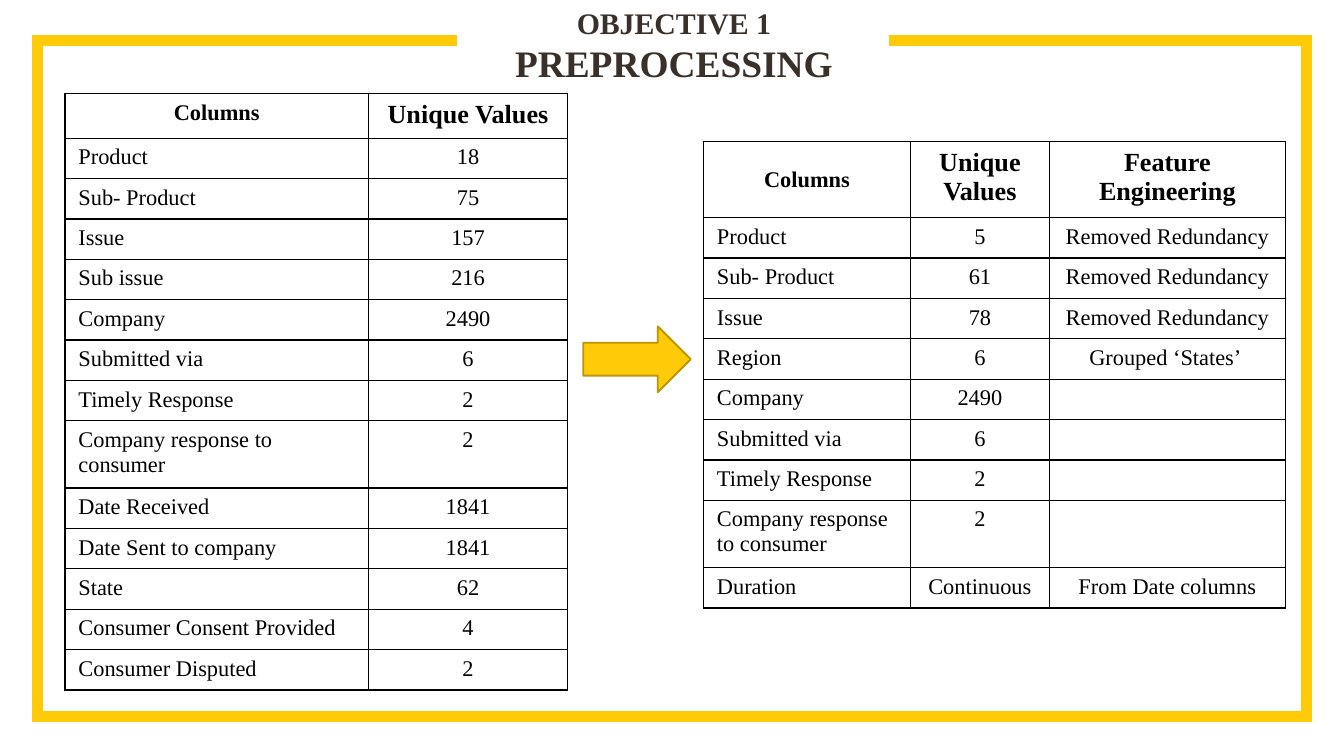
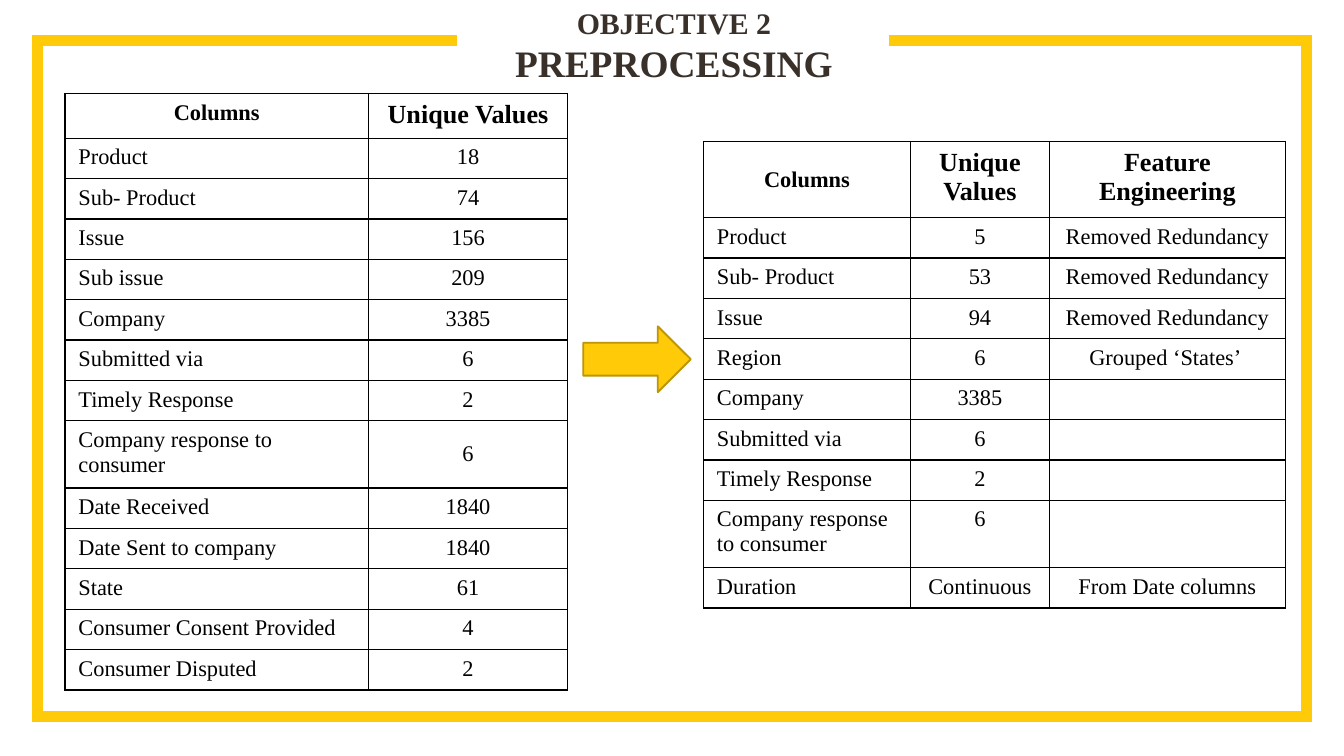
from lxml.etree import SubElement
from pptx import Presentation
from pptx.dml.color import RGBColor
from pptx.enum.shapes import MSO_SHAPE
from pptx.enum.text import MSO_ANCHOR, PP_ALIGN
from pptx.oxml.ns import qn
from pptx.util import Pt

FONT = "Times New Roman"
GOLD, EDGE, DARK, BLACK = "FFCA08", "BD9506", "39302A", "000000"
FRAME = [(245, 21.6), (20.2, 21.6), (20.2, 383.8), (699.8, 383.8), (699.8, 21.6), (476, 21.6)]
RAW = ["Product", "Sub- Product", "Issue", "Sub issue", "Company", "Submitted via",
       "Timely Response", "Company response to consumer", "Date Received",
       "Date Sent to company", "State", "Consumer Consent Provided", "Consumer Disputed"]
CLEAN = ["Product", "Sub- Product", "Issue", "Region", "Company", "Submitted via",
         "Timely Response", "Company response to consumer", "Duration"]
NOTES = ["Removed Redundancy"] * 3 + ["Grouped ‘States’ "] + [""] * 4 + ["From Date columns"]
HEADS = ["Columns", "Unique Values", "Feature Engineering"]
SLIDES = [
    ("OBJECTIVE 1",
     [18, 75, 157, 216, 2490, 6, 2, 2, 1841, 1841, 62, 4, 2],
     [5, 61, 78, 6, 2490, 6, 2, 2, "Continuous"],
     [(1, 0, 0)]),
    ("OBJECTIVE 2",
     [18, 74, 156, 209, 3385, 6, 2, 6, 1840, 1840, 61, 4, 2],
     [5, 53, 94, 6, 3385, 6, 2, 6, "Continuous"],
     [(1, 0, 0), (0, 8, 1)]),
]


def color(code):
    return RGBColor.from_string(code)


def style(run, size, code, bold):
    run.font.name = FONT
    run.font.size = Pt(size)
    run.font.bold = bold
    run.font.color.rgb = color(code)


deck = Presentation()
deck.slide_width, deck.slide_height = Pt(720), Pt(405)

for title, before, after, middle in SLIDES:
    slide = deck.slides.add_slide(deck.slide_layouts[6])
    shapes = slide.shapes

    pen = shapes.build_freeform(Pt(FRAME[0][0]), Pt(FRAME[0][1]))
    pen.add_line_segments([(Pt(x), Pt(y)) for x, y in FRAME[1:]], close=False)
    frame = pen.convert_to_shape()
    frame.shadow.inherit = False
    frame.fill.background()
    frame.line.color.rgb = color(GOLD)
    frame.line.width = Pt(6)
    SubElement(frame.line._ln, qn("a:miter"), lim="800000")

    box = shapes.add_textbox(Pt(256.3), Pt(10), Pt(209.5), Pt(28))
    text = box.text_frame
    text.word_wrap = True
    text.vertical_anchor = MSO_ANCHOR.MIDDLE
    text.margin_left = text.margin_right = text.margin_top = text.margin_bottom = 0
    para = text.paragraphs[0]
    para.text = title + "\vPREPROCESSING"
    para.alignment = PP_ALIGN.CENTER
    for run, size in zip(para.runs, (16, 20)):
        style(run, size, DARK, True)
    SubElement(para._p.find(qn("a:br")), qn("a:rPr"), sz="1600")

    arrow = shapes.add_shape(MSO_SHAPE.RIGHT_ARROW, Pt(312.5), Pt(174.8), Pt(57.6), Pt(35.3))
    arrow.shadow.inherit = False
    arrow.fill.solid()
    arrow.fill.fore_color.rgb = color(GOLD)
    arrow.line.color.rgb = color(EDGE)
    arrow.line.width = Pt(1)

    tables = [
        (34.8, 50, 319, [162.6, 106.7], list(zip(RAW, before))),
        (376.9, 75.8, 249.8, [110.9, 74.4, 126.5], list(zip(CLEAN, after, NOTES))),
    ]
    for index, (left, top, height, widths, body) in enumerate(tables):
        rows = [HEADS[:len(widths)]] + body
        holder = shapes.add_table(len(rows), len(widths), Pt(left), Pt(top),
                                  Pt(sum(widths)), Pt(height))
        table = holder.table
        table.first_row = table.horz_banding = False
        for column, width in zip(table.columns, widths):
            column.width = Pt(width)
        for r, row in enumerate(rows):
            table.rows[r].height = Pt(33.8 if "consumer" in row[0] else 20.2)
            for c, value in enumerate(row):
                cell = table.cell(r, c)
                for side in ("a:lnL", "a:lnR", "a:lnT", "a:lnB"):
                    line = SubElement(cell._tc.get_or_add_tcPr(), qn(side), w=str(Pt(0.75)))
                    SubElement(SubElement(line, qn("a:solidFill")), qn("a:srgbClr"), val=BLACK)
                cell.fill.background()
                if (index, r, c) in middle:
                    cell.vertical_anchor = MSO_ANCHOR.MIDDLE
                para = cell.text_frame.paragraphs[0]
                para.alignment = PP_ALIGN.LEFT if r and not c else PP_ALIGN.CENTER
                if value == "":
                    SubElement(para._p, qn("a:endParaRPr"), sz="1200")
                    continue
                para.text = str(value)
                style(para.runs[0], 14 if c and not r else 12, BLACK, r == 0)
        holder.height = Pt(height)

deck.save("out.pptx")
